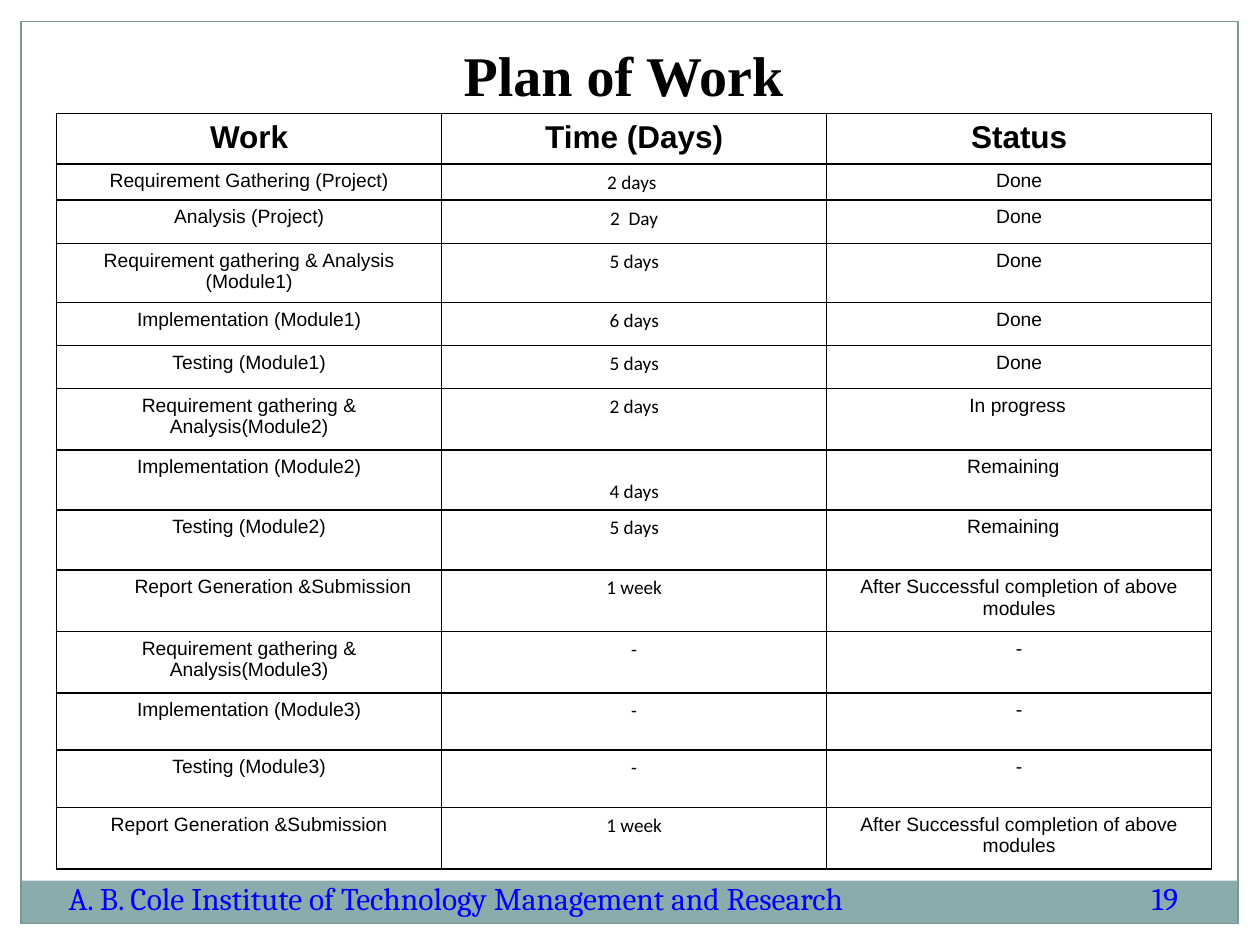
from lxml.etree import SubElement
from pptx import Presentation
from pptx.dml.color import RGBColor
from pptx.enum.shapes import MSO_SHAPE
from pptx.enum.text import MSO_ANCHOR, PP_ALIGN
from pptx.oxml.ns import qn
from pptx.util import Pt

WORK = [
    ("Requirement Gathering (Project)", "2 days", "Done"),
    ("Analysis (Project)", "2  Day", "Done"),
    ("Requirement gathering & Analysis (Module1)", "5 days", "Done"),
    ("Implementation (Module1)", "6 days", "Done"),
    ("Testing (Module1)", "5 days", "Done"),
    ("Requirement gathering & Analysis(Module2)", "2 days", "In progress"),
    ("Implementation (Module2)", "4 days", "Remaining"),
    ("Testing (Module2)", "5 days", "Remaining"),
    ("Report Generation &Submission", "1 week", "After Successful completion of above modules"),
    ("Requirement gathering & Analysis(Module3)", "-", "-"),
    ("Implementation (Module3)", "-", "-"),
    ("Testing (Module3)", "-", "-"),
    ("Report Generation &Submission", "1 week", "After Successful completion of above modules"),
]
HEADINGS = ("Work", "Time (Days)", "Status")
ROW_HEIGHTS = (28, 20.6, 24.7, 32.6, 24.7, 24.7, 35.1, 34.3, 34.3, 35.1, 35.1, 32.7, 32.7, 35.1)
CELL_MARGINS = {"margin_left": 5.76, "margin_right": 5.76, "margin_top": 3.6, "margin_bottom": 3.6}
SHIFTED_CELLS = {
    (1, 1): {"margin_right": 8.5},
    (6, 2): {"margin_right": 7.5},
    (7, 1): {"margin_top": 17.1},
    (7, 2): {"margin_right": 12.5},
    (8, 2): {"margin_right": 12.5},
    (9, 0): {"margin_left": 33},
}
HEADING_FONT = {"name": "Arial", "size": Pt(18), "bold": True}
BODY_FONTS = [{"name": name, "size": Pt(11), "bold": False} for name in ("Arial", "Calibri", "Arial")]
TITLE_FONT = {"name": "Times New Roman", "size": Pt(32), "bold": True}
FOOTER_FONT = {"name": "Cambria", "size": Pt(18)}


def color(value):
    """Return the colour for a hex string."""
    return RGBColor.from_string(value)


def set_values(target, values):
    """Set each attribute of the target from a dict."""
    for name, value in values.items():
        setattr(target, name, value)


def write_text(text_frame, text, font, ink="000000", alignment=PP_ALIGN.CENTER):
    """Write one formatted paragraph into a text frame."""
    paragraph = text_frame.paragraphs[0]
    paragraph.alignment = alignment
    run = paragraph.add_run()
    run.text = text
    set_values(run.font, font)
    run.font.color.rgb = color(ink)


def add_label(slide, box, text, font, ink="000000", alignment=PP_ALIGN.LEFT):
    """Add a vertically centred text box."""
    text_frame = slide.shapes.add_textbox(*map(Pt, box)).text_frame
    set_values(text_frame, {"word_wrap": True, "vertical_anchor": MSO_ANCHOR.MIDDLE})
    write_text(text_frame, text, font, ink, alignment)


def add_rectangle(slide, box, fill=None, line=None):
    """Add a flat rectangle with an optional fill and outline."""
    shape = slide.shapes.add_shape(MSO_SHAPE.RECTANGLE, *map(Pt, box))
    shape.shadow.inherit = False
    for part, value in ((shape.fill, fill), (shape.line.fill, line)):
        if value:
            part.solid()
            part.fore_color.rgb = color(value)
        else:
            part.background()
    if line:
        shape.line.width = Pt(0.74)


def add_frame(slide, box):
    """Add the page outline with the band along its foot."""
    left, top, width, height = box
    band = 24.5
    add_rectangle(slide, (left, top + height - band, width, band), fill="8BACAD")
    add_rectangle(slide, box, line="7A9798")


def set_borders(cell, ink="000000", width=1):
    """Draw all four borders of a table cell."""
    properties = cell._tc.get_or_add_tcPr()
    for side in ("a:lnL", "a:lnR", "a:lnT", "a:lnB"):
        border = SubElement(properties, qn(side), w=str(Pt(width)))
        fill = SubElement(border, qn("a:solidFill"))
        SubElement(fill, qn("a:srgbClr"), val=ink)


def add_work_table(slide, box):
    """Add the work plan with equal columns."""
    rows = [HEADINGS, *WORK]
    table = slide.shapes.add_table(len(rows), len(HEADINGS), *map(Pt, box)).table
    set_values(table, {"first_row": False, "horz_banding": False})
    for column in table.columns:
        column.width = Pt(box[2] / len(HEADINGS))
    for row_index, (texts, height) in enumerate(zip(rows, ROW_HEIGHTS)):
        table.rows[row_index].height = Pt(height)
        for column_index, text in enumerate(texts):
            cell = table.cell(row_index, column_index)
            margins = CELL_MARGINS | SHIFTED_CELLS.get((row_index, column_index), {})
            set_values(cell, {name: Pt(value) for name, value in margins.items()})
            set_borders(cell)
            cell.fill.background()
            font = BODY_FONTS[column_index] if row_index else HEADING_FONT
            write_text(cell.text_frame, text, font)


def add_footer(slide, box):
    """Add the institute name and the page number."""
    left, top, width, height = box
    number_width = 46
    institute = "A. B. Cole Institute of Technology Management and Research"
    add_label(slide, (left, top, 526, height), institute, FOOTER_FONT, "0000FF")
    number_box = (left + width - number_width, top, number_width, height)
    add_label(slide, number_box, "19", FOOTER_FONT, "0000FF")


def build():
    """Build and save the presentation."""
    presentation = Presentation()
    set_values(presentation, {"slide_width": Pt(720), "slide_height": Pt(540)})
    slide = presentation.slides.add_slide(presentation.slide_layouts[6])
    add_frame(slide, (12, 12.2, 695.5, 515.6))
    add_label(slide, (32.4, 18, 648, 48.2), "Plan of Work", TITLE_FONT, alignment=PP_ALIGN.CENTER)
    add_work_table(slide, (32.4, 65, 660, sum(ROW_HEIGHTS)))
    add_footer(slide, (32.1, 486, 665, 54))
    presentation.save("out.pptx")


build()
